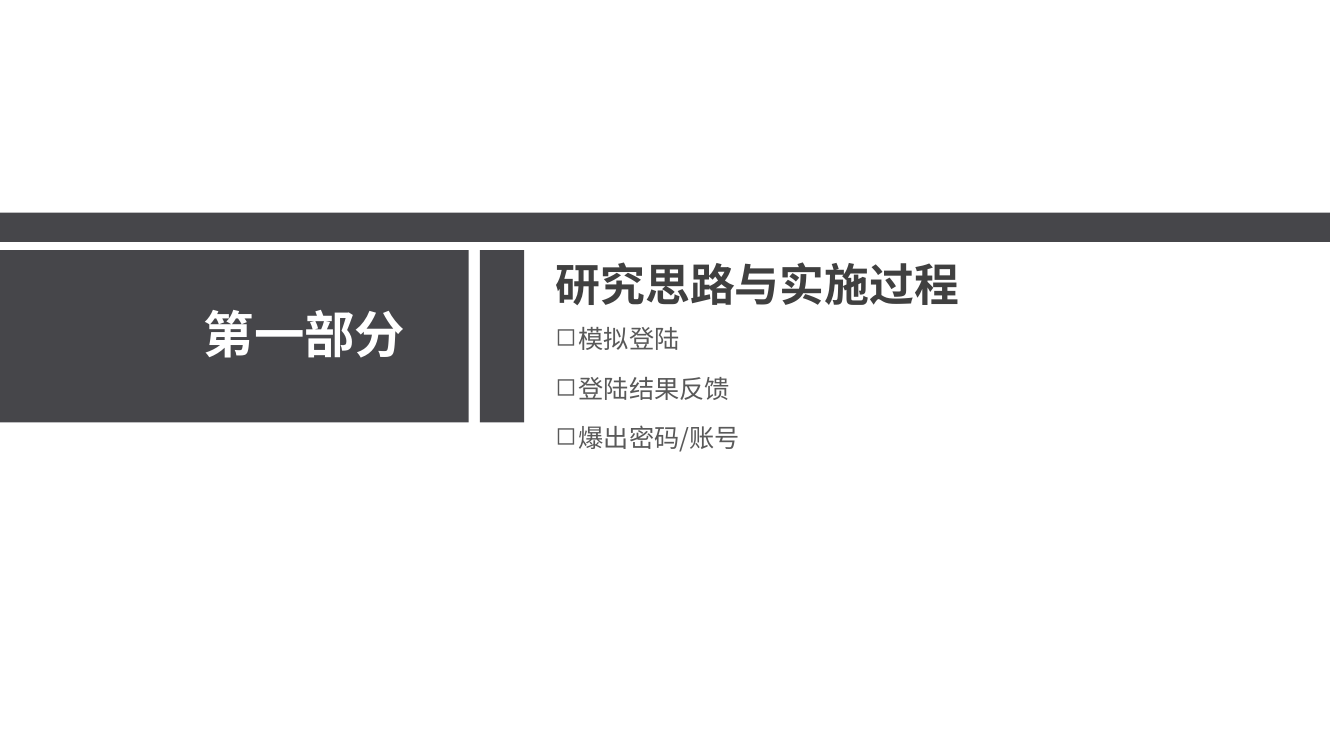
from dataclasses import dataclass

import pptx
import pptx.dml.color
import pptx.enum.shapes
import pptx.enum.text
import pptx.oxml
import pptx.oxml.ns
import pptx.util

ANCHOR = pptx.enum.text.MSO_ANCHOR


@dataclass(frozen=True)
class Theme:
    font: str = "Noto Sans CJK SC"
    band: str = "46464A"
    on_band: str = "FFFFFF"
    heading: str = "404040"
    topic: str = "595959"
    part_size: int = 36
    heading_size: int = 32
    topic_size: int = 18
    inset_x: float = 0.07
    inset_y: float = 0.04
    indent: float = 0.23


THEME = Theme()


@dataclass(frozen=True)
class Box:
    left: int
    top: int
    width: int
    height: int

    def share(self, x, y, w, h):
        return Box(
            round(self.left + self.width * x / 100),
            round(self.top + self.height * y / 100),
            round(self.width * w / 100),
            round(self.height * h / 100),
        )

    def edges(self):
        return self.left, self.top, self.width, self.height


def rgb(code):
    return pptx.dml.color.RGBColor.from_string(code)


def add_band(slide, box):
    band = slide.shapes.add_shape(pptx.enum.shapes.MSO_SHAPE.RECTANGLE, *box.edges())
    band.shadow.inherit = False
    band.fill.solid()
    band.fill.fore_color.rgb = rgb(THEME.band)
    band.line.fill.background()


def add_bullet(paragraph, symbol):
    properties = paragraph._p.get_or_add_pPr()
    indent = pptx.util.Inches(THEME.indent)
    properties.set("marL", str(indent))
    properties.set("indent", str(-indent))
    bullet = pptx.oxml.parse_xml(
        f'<a:buChar {pptx.oxml.ns.nsdecls("a")} char="{symbol}"/>'
    )
    properties.append(bullet)


def add_text(slide, box, text, size, color, bold=False, anchor=ANCHOR.MIDDLE, bullet=None):
    frame = slide.shapes.add_textbox(*box.edges()).text_frame
    frame.word_wrap = True
    frame.vertical_anchor = anchor
    frame.margin_left = frame.margin_right = pptx.util.Inches(THEME.inset_x)
    frame.margin_top = frame.margin_bottom = pptx.util.Inches(THEME.inset_y)
    paragraph = frame.paragraphs[0]
    paragraph.text = text
    if bullet:
        add_bullet(paragraph, bullet)
    run = paragraph.runs[0]
    run.font.name = THEME.font
    run.font.size = pptx.util.Pt(size)
    run.font.bold = bold
    run.font.color.rgb = rgb(color)
    latin = run._r.rPr.find(pptx.oxml.ns.qn("a:latin"))
    latin.addnext(pptx.oxml.parse_xml(
        f'<a:ea {pptx.oxml.ns.nsdecls("a")} typeface="{THEME.font}"/>'
    ))


def add_part_panel(slide, box, part):
    add_band(slide, box.share(0, 0, 89.42, 100))
    add_band(slide, box.share(91.54, 0, 8.46, 100))
    add_text(slide, box.share(37.5, 26.32, 46.54, 42.11), part,
             THEME.part_size, THEME.on_band, bold=True, anchor=ANCHOR.BOTTOM)


def add_topics(slide, box, heading, topics):
    add_text(slide, box.share(0, 0, 100, 30.2), heading,
             THEME.heading_size, THEME.heading, bold=True)
    first_top, row_height = 32.67, 18.81
    pitch = (100 - row_height - first_top) / (len(topics) - 1)
    for row, (topic, width) in enumerate(topics):
        add_text(slide, box.share(0, first_top + row * pitch, width, row_height),
                 topic, THEME.topic_size, THEME.topic, bullet="◻")


def add_section_slide(deck, part, heading, topics):
    slide = deck.slides.add_slide(deck.slide_layouts[6])
    page = Box(0, 0, deck.slide_width, deck.slide_height)
    add_band(slide, page.share(0, 28.13, 98.95, 3.87))
    add_part_panel(slide, page.share(0, 33.07, 39, 22.8), part)
    add_topics(slide, page.share(40.81, 33.47, 33.16, 26.93), heading, topics)


def main():
    deck = pptx.Presentation()
    deck.slide_width = pptx.util.Inches(13.33)
    deck.slide_height = pptx.util.Inches(7.5)
    add_section_slide(
        deck,
        "第一部分",
        "研究思路与实施过程",
        [("模拟登陆", 36.65), ("登陆结果反馈", 55.43), ("爆出密码/账号", 51.58)],
    )
    deck.save("out.pptx")


if __name__ == "__main__":
    main()
